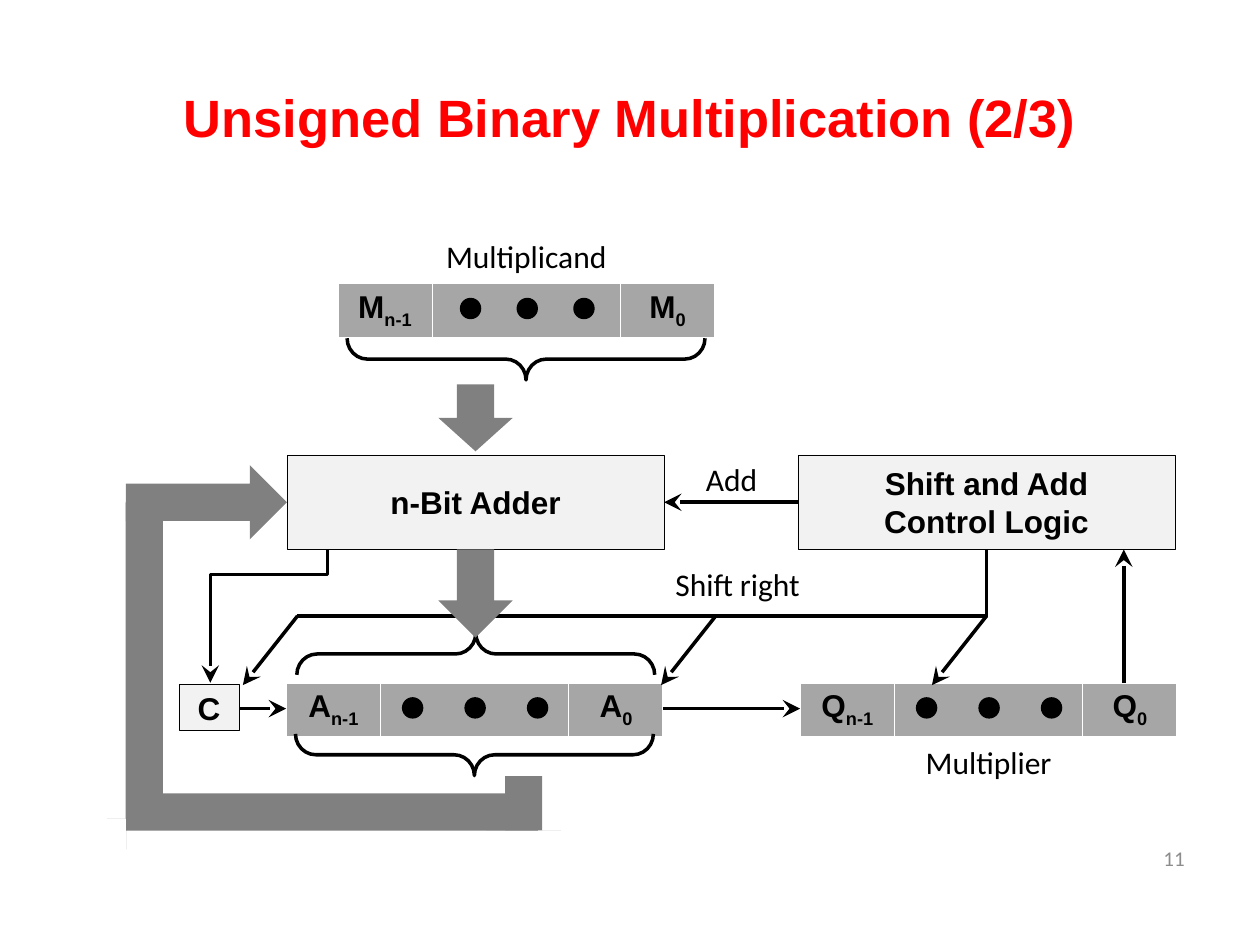
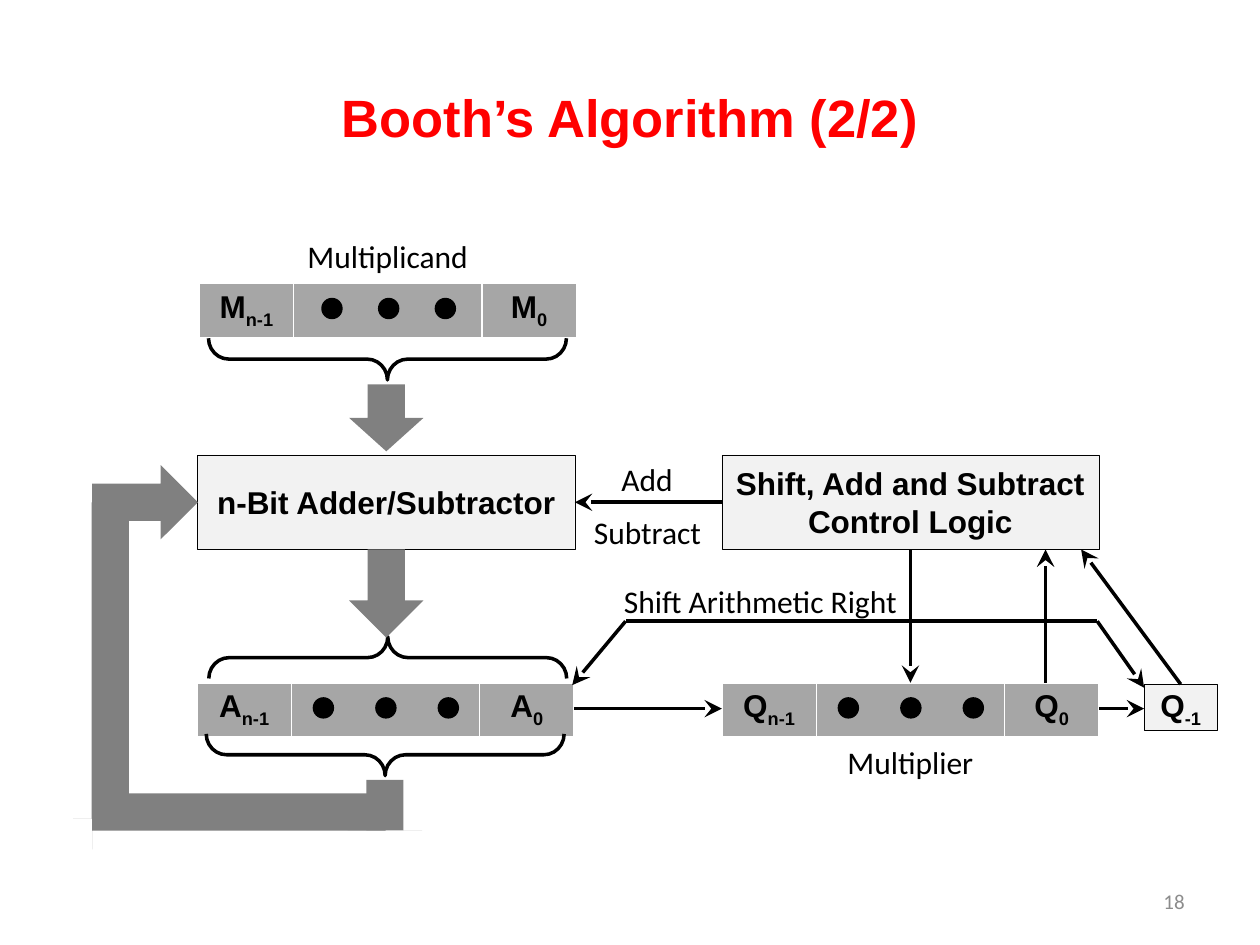
import collections
import dataclasses

import pptx
import pptx.dml.color
import pptx.enum.shapes
import pptx.enum.text
import pptx.oxml
import pptx.oxml.ns
import pptx.util

Pt = pptx.util.Pt
RGB = pptx.dml.color.RGBColor.from_string
SHAPE = pptx.enum.shapes.MSO_SHAPE
CONNECTOR = pptx.enum.shapes.MSO_CONNECTOR
ALIGN = pptx.enum.text.PP_ALIGN
qn = pptx.oxml.ns.qn


@dataclasses.dataclass(frozen=True)
class Theme:
    ink: str = "000000"
    title: str = "FF0000"
    number: str = "8C8C8C"
    block: str = "F2F2F2"
    cell: str = "A6A6A6"
    border: str = "FFFFFF"
    flow: str = "808080"
    head_font: str = "Arial"
    body_font: str = "Calibri"
    title_size: int = 30
    body_size: int = 18
    number_size: int = 12
    wire: float = 2
    outline: float = 0.25


T = Theme()
ARROW = 42.5
DOT = 12.24
CELL_WIDTHS = (54, 107.5, 54)


class Box(collections.namedtuple("Box", "x y w h")):
    @property
    def right(self):
        return self.x + self.w

    @property
    def bottom(self):
        return self.y + self.h

    @property
    def cx(self):
        return self.x + self.w / 2

    @property
    def cy(self):
        return self.y + self.h / 2

    def points(self):
        return [Pt(v) for v in self]


def write(tf, text, font=T.body_font, size=T.body_size, color=T.ink, bold=False,
          align=ALIGN.CENTER):
    for i, line in enumerate(text.split("\n")):
        p = tf.paragraphs[0] if i == 0 else tf.add_paragraph()
        p.alignment = align
        for j, part in enumerate(line.split("_")):
            r = p.add_run()
            r.text = part
            r.font.name = font
            r.font.size = Pt(size)
            r.font.bold = bold
            r.font.color.rgb = RGB(color)
            if j:
                r.font._element.set("baseline", "-25000")


def center_frame(tf):
    tf.margin_left = tf.margin_right = tf.margin_top = tf.margin_bottom = 0
    tf.vertical_anchor = pptx.enum.text.MSO_ANCHOR.MIDDLE
    tf.word_wrap = False
    return tf


def label(s, text, box, **fmt):
    sp = s.shapes.add_textbox(*box.points())
    write(center_frame(sp.text_frame), text, **fmt)


def shape(s, kind, box, fill=None, line=None, width=T.wire, turn=0, adj=()):
    if turn:
        box = Box(box.cx - box.h / 2, box.cy - box.w / 2, box.h, box.w)
    sp = s.shapes.add_shape(kind, *box.points())
    sp.shadow.inherit = False
    sp.rotation = turn
    for i, value in enumerate(adj):
        sp.adjustments[i] = value
    if fill:
        sp.fill.solid()
        sp.fill.fore_color.rgb = RGB(fill)
    else:
        sp.fill.background()
    if line:
        sp.line.color.rgb = RGB(line)
        sp.line.width = Pt(width)
    else:
        sp.line.fill.background()
    return sp


def block(s, text, box):
    sp = shape(s, SHAPE.RECTANGLE, box, T.block, T.ink, T.outline)
    write(center_frame(sp.text_frame), text, font=T.head_font, bold=True)


def brace(s, box, turn):
    shape(s, SHAPE.LEFT_BRACE, box, line=T.ink, turn=turn, adj=(0.488, 0.5))


def style_wire(c, head):
    c.line.color.rgb = RGB(T.ink)
    c.line.width = Pt(T.wire)
    if head:
        end = pptx.oxml.parse_xml(
            f'<a:tailEnd {pptx.oxml.ns.nsdecls("a")} type="stealth" w="lg" len="lg"/>')
        c.line._get_or_add_ln().append(end)
    c._element.spPr.append(
        pptx.oxml.parse_xml(f'<a:effectLst {pptx.oxml.ns.nsdecls("a")}/>'))


def wire(s, x1, y1, x2, y2, head=True):
    c = s.shapes.add_connector(CONNECTOR.STRAIGHT, Pt(x1), Pt(y1), Pt(x2), Pt(y2))
    style_wire(c, head)


def elbow(s, x1, y1, x2, y2, bend=None):
    cx, cy, w, h = (x1 + x2) / 2, (y1 + y2) / 2, y2 - y1, x1 - x2
    c = s.shapes.add_connector(CONNECTOR.ELBOW, Pt(cx - w / 2), Pt(cy - h / 2),
                               Pt(cx + w / 2), Pt(cy + h / 2))
    spPr = c._element.spPr
    spPr.find(qn("a:xfrm")).set("rot", "5400000")
    geom = spPr.find(qn("a:prstGeom"))
    if bend is None:
        geom.set("prst", "bentConnector2")
    else:
        guide = pptx.oxml.parse_xml(
            f'<a:gd {pptx.oxml.ns.nsdecls("a")} name="adj1" fmla="val {round(bend * 100000)}"/>')
        geom.find(qn("a:avLst")).append(guide)
    style_wire(c, bend is not None)


def border_cell(cell):
    tcPr = cell._tc.get_or_add_tcPr()
    for i, (side, width) in enumerate((("L", 1), ("R", 1), ("T", 1), ("B", 3))):
        tcPr.insert(i, pptx.oxml.parse_xml(
            f'<a:ln{side} {pptx.oxml.ns.nsdecls("a")} w="{Pt(width)}"><a:solidFill>'
            f'<a:srgbClr val="{T.border}"/></a:solidFill></a:ln{side}>'))


def register(s, name, x, y, dot_x=66.2, dot_gap=35.7):
    box = Box(x, y, sum(CELL_WIDTHS), 29.5)
    table = s.shapes.add_table(1, len(CELL_WIDTHS), *box.points()).table
    table.first_row = table.horz_banding = False
    table.rows[0].height = Pt(box.h)
    for i, (width, bit) in enumerate(zip(CELL_WIDTHS, ("n-1", "", "0"))):
        table.columns[i].width = Pt(width)
        cell = table.cell(0, i)
        cell.fill.solid()
        cell.fill.fore_color.rgb = RGB(T.cell)
        border_cell(cell)
        if bit:
            write(cell.text_frame, f"{name}_{bit}", font=T.head_font, bold=True)
    for i in range(3):
        dot = Box(x + dot_x + i * dot_gap, y + 8.2, DOT, DOT)
        shape(s, SHAPE.FLOWCHART_CONNECTOR, dot, T.ink)
    return box


def multiplicand(s, x):
    m = register(s, "M", x, 162, 69.8, 32.4)
    label(s, "Multiplicand", Box(x, m.y - 30.2, m.w, 28.8))
    brace(s, Box(x + 5.4, m.y + 31.3, 204.5, 23.8), 270)


def multiplier(s, x):
    q = register(s, "Q", x, 390.2)
    label(s, "Multiplier", Box(x, q.y + 31, q.w, 28.8))
    return q


def datapath_wires(s, adder, control, a, q):
    wire(s, a.right, a.cy, q.x, a.cy)
    wire(s, q.x + 185, q.y, q.x + 185, control.bottom)
    wire(s, control.x, control.cy, adder.right, control.cy)


def adder_flow(s, adder, a, brace_x, brace_y):
    brace(s, Box(a.x + brace_x, a.y - brace_y, 204.5, 23.8), 90)
    brace(s, Box(a.x + 5.4, a.y + 29.2, 204.5, 23.8), 270)
    for y, h in ((adder.y - 40.3, 38.2), (adder.bottom, 50.4)):
        shape(s, SHAPE.DOWN_ARROW, Box(adder.cx - ARROW / 2, y, ARROW, h), T.flow)


def feedback(s, x, adder, floor_w, stub):
    inner = x + 10.8
    bar = {"fill": T.flow, "adj": (0.5, 0)}
    shape(s, SHAPE.DOWN_ARROW, stub, **bar)
    shape(s, SHAPE.DOWN_ARROW, Box(inner, 442.8, floor_w, ARROW), turn=90, **bar)
    shape(s, SHAPE.DOWN_ARROW, Box(x, adder.cy, ARROW, 180.7), **bar)
    head = Box(inner, adder.cy - ARROW / 2, adder.x - inner, ARROW)
    shape(s, SHAPE.DOWN_ARROW, head, T.flow, turn=270)


def heading(s, title, number, number_y):
    label(s, title, Box(36, 21.6, 648, 90), font=T.head_font, size=T.title_size,
          color=T.title, bold=True)
    label(s, number, Box(516, number_y, 161, 28.8), size=T.number_size,
          color=T.number, align=ALIGN.RIGHT)


def unsigned_slide(s):
    heading(s, "Unsigned Binary Multiplication (2/3)", "11", 476)
    adder, control = Box(164, 260, 215.5, 54), Box(456, 260, 215.5, 54)
    carry = Box(102.2, 391, 34.6, 26.6)
    block(s, "n-Bit Adder", adder)
    block(s, "Shift and Add\nControl Logic", control)
    block(s, "C", carry)
    multiplicand(s, 193)
    a = register(s, "A", 163.5, 390.2)
    q = multiplier(s, 457.2)
    datapath_wires(s, adder, control, a, q)
    elbow(s, adder.x + 23.2, adder.bottom, 120.2, a.y, bend=0.19)
    wire(s, carry.right, a.cy, a.x, a.cy)
    bus_y = 352
    elbow(s, control.cx, control.bottom, 170, bus_y)
    for x in (control.cx, 409, 170):
        wire(s, x, bus_y, x - 31.2, 391.5)
    feedback(s, 61.2, adder, 235.4, Box(278, 443.5, ARROW, 31))
    adder_flow(s, adder, a, 6.1, 28.4)
    label(s, "Add", Box(396, 259.2, 44, 28.8))
    label(s, "Shift right", Box(378, 319, 87, 28.8))


def booth_slide(s):
    heading(s, "Booth’s Algorithm (2/2)", "18", 500.5)
    adder, control = Box(113, 260, 215.5, 54), Box(412.5, 260, 215.5, 54)
    last_bit = Box(653.8, 391, 41.8, 26.6)
    block(s, "n-Bit Adder/Subtractor", adder)
    block(s, "Shift, Add and Subtract\nControl Logic", control)
    block(s, "Q_-1", last_bit)
    multiplicand(s, 113.8)
    a = register(s, "A", 112.5, 390.2)
    q = multiplier(s, 412.5)
    datapath_wires(s, adder, control, a, q)
    wire(s, q.right, q.cy, last_bit.x, q.cy)
    wire(s, control.cx, control.bottom, control.cx, q.y)
    wire(s, last_bit.cx, last_bit.y, 617.8, control.bottom)
    bus_y = 355
    wire(s, 627, bus_y, 357.5, bus_y, head=False)
    wire(s, 357.5, bus_y, 327, 391.5)
    wire(s, 627, bus_y, last_bit.x, 393)
    feedback(s, 41.8, adder, 167.8, Box(198.7, 445.7, ARROW, 28.8))
    adder_flow(s, adder, a, 6.8, 26.3)
    label(s, "Add", Box(347.8, 259.2, 44, 28.8))
    label(s, "Subtract", Box(332, 289.5, 76, 28.8))
    label(s, "Shift Arithmetic Right", Box(348, 329, 173, 28.8))


def main():
    prs = pptx.Presentation()
    prs.slide_width, prs.slide_height = Pt(720), Pt(540)
    for build in (unsigned_slide, booth_slide):
        build(prs.slides.add_slide(prs.slide_layouts[6]))
    prs.save("out.pptx")


if __name__ == "__main__":
    main()
